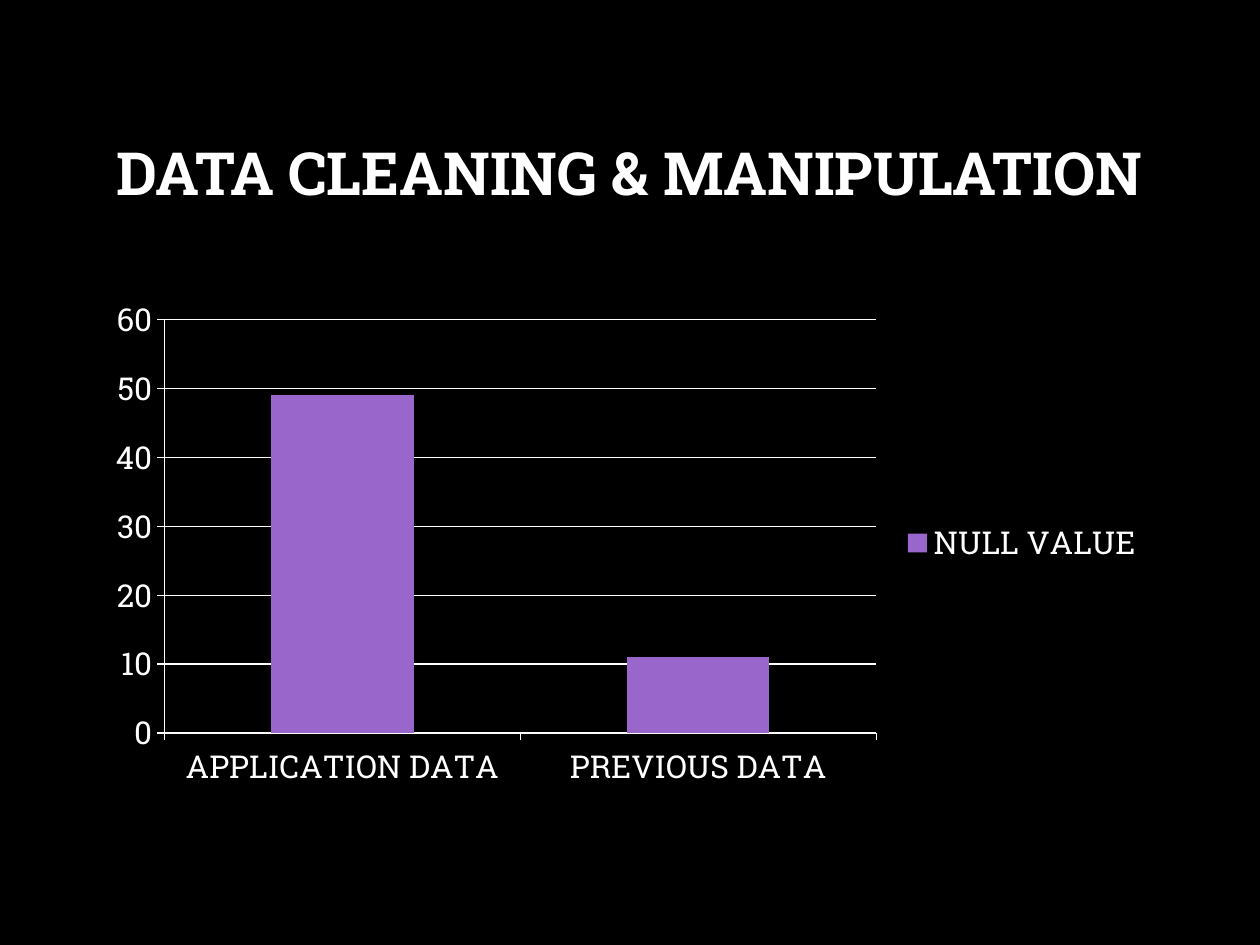
"""Build a slide with a column chart of null values in two data sets."""
from pptx import Presentation
from pptx.chart.data import CategoryChartData
from pptx.dml.color import RGBColor
from pptx.enum.chart import XL_CHART_TYPE, XL_LEGEND_POSITION, XL_TICK_MARK
from pptx.enum.text import MSO_ANCHOR, PP_ALIGN
from pptx.util import Inches, Pt

STACKED = XL_CHART_TYPE.COLUMN_STACKED
RIGHT = XL_LEGEND_POSITION.RIGHT
OUTSIDE = XL_TICK_MARK.OUTSIDE
MIDDLE = MSO_ANCHOR.MIDDLE
CENTER = PP_ALIGN.CENTER

FONT = "Roboto Slab"
COLORS = {"back": "000000", "text": "FFFFFF", "bar": "9966CC"}
RGB = {name: RGBColor.from_string(code) for name, code in COLORS.items()}

deck = Presentation()
deck.slide_width, deck.slide_height = Inches(10), Inches(7.5)
slide = deck.slides.add_slide(deck.slide_layouts[5])
slide.background.fill.solid()
slide.background.fill.fore_color.rgb = RGB["back"]

left, width = Inches(0.75), Inches(8.49)

title = slide.shapes.title
title.left, title.top = left, Inches(0.67)
title.width, title.height = width, Inches(1.45)
title.text_frame.vertical_anchor = MIDDLE
para = title.text_frame.paragraphs[0]
para.alignment = CENTER
para.line_spacing = 0.9
run = para.add_run()
run.text = "DATA CLEANING & MANIPULATION"
run.font.size = Pt(34)
run.font.bold = True
run.font.name = FONT
run.font.color.rgb = RGB["text"]

data = CategoryChartData()
data.categories = ["APPLICATION DATA", "PREVIOUS DATA"]
data.add_series("NULL VALUE ", (49, 11))
frame = slide.shapes.add_chart(STACKED, left, Inches(2.29), width, Inches(4.04), data)
chart = frame.chart
chart.has_title = False
chart.font.size = Pt(18)
chart.font.name = FONT
chart.font.color.rgb = RGB["text"]
chart.has_legend = True
chart.legend.position = RIGHT
chart.legend.include_in_layout = False

plot = chart.plots[0]
plot.gap_width = 150
plot.overlap = 100
plot.vary_by_categories = False
fill = plot.series[0].format.fill
fill.solid()
fill.fore_color.rgb = RGB["bar"]

values = chart.value_axis
values.minimum_scale, values.maximum_scale, values.major_unit = 0, 60, 10
values.has_major_gridlines = True
for axis in (chart.category_axis, values):
    axis.major_tick_mark = OUTSIDE
for item in (chart.category_axis, values, values.major_gridlines):
    item.format.line.color.rgb = RGB["text"]
    item.format.line.width = Pt(0.75)

deck.save("out.pptx")
